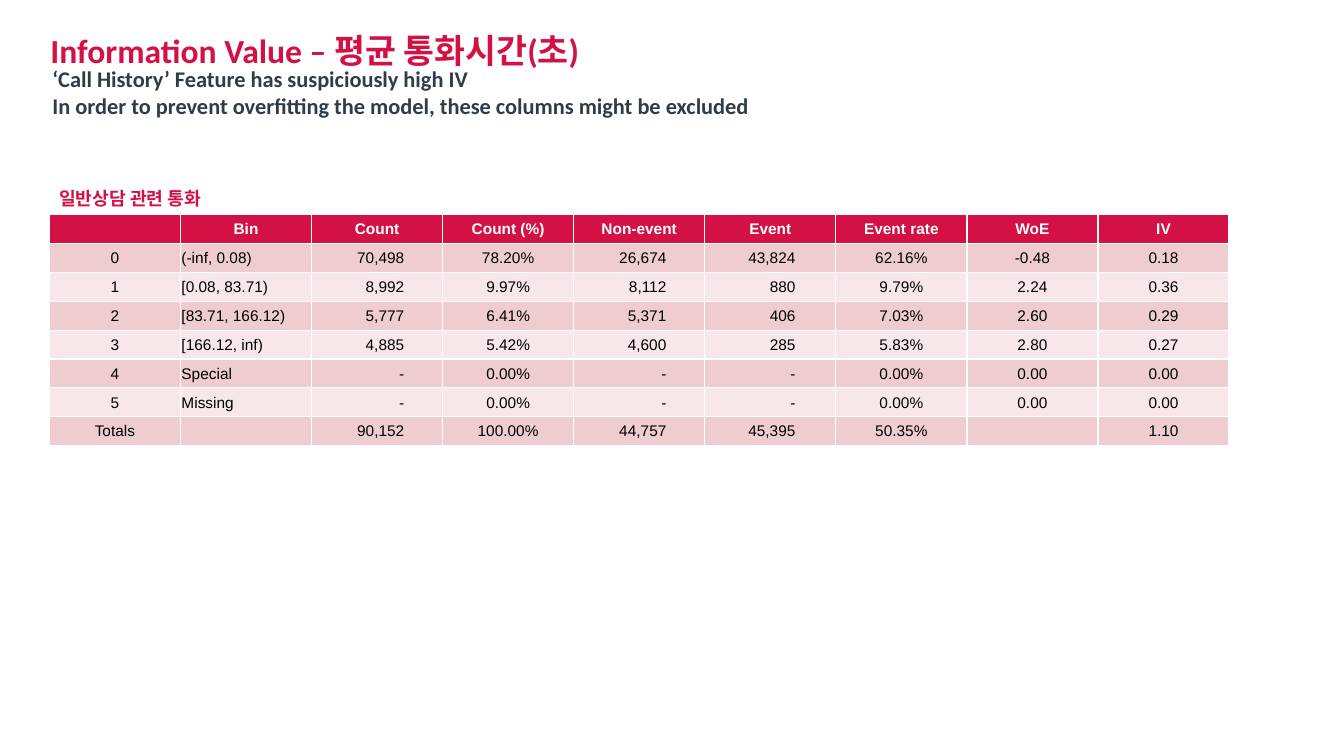
from dataclasses import dataclass

from lxml import etree
from pptx import Presentation
from pptx.dml.color import RGBColor
from pptx.enum.text import MSO_ANCHOR, MSO_AUTO_SIZE, PP_ALIGN
from pptx.oxml.ns import qn
from pptx.util import Emu, Pt

LEFT, CENTER, RIGHT = PP_ALIGN.LEFT, PP_ALIGN.CENTER, PP_ALIGN.RIGHT
TOP, MIDDLE = MSO_ANCHOR.TOP, MSO_ANCHOR.MIDDLE
NO_FIT = MSO_AUTO_SIZE.NONE

CRIMSON = RGBColor(0xD3, 0x11, 0x45)
SLATE = RGBColor(0x30, 0x3D, 0x48)
WHITE = RGBColor(0xFF, 0xFF, 0xFF)
BLACK = RGBColor(0x00, 0x00, 0x00)
BANDS = (RGBColor(0xEF, 0xCC, 0xCF), RGBColor(0xF7, 0xE7, 0xE9))

TITLE_ONLY = 5
CELL_PT = 11


def px(n: int) -> Emu:
    """100 px to the inch."""
    return Emu(n * 9144)


@dataclass(frozen=True)
class Column:
    heading: str
    align: PP_ALIGN = CENTER
    right_margin: int = 1


@dataclass(frozen=True)
class TextStyle:
    font: str
    size: int
    color: RGBColor
    bold: bool = True


TITLE_STYLE = TextStyle("Calibri", 24, CRIMSON)
SUBTITLE_STYLE = TextStyle("Calibri", 16, SLATE)
CAPTION_STYLE = TextStyle("Arial", 13, CRIMSON)
HEADING_STYLE = TextStyle("Arial", CELL_PT, WHITE)
VALUE_STYLE = TextStyle("Arial", CELL_PT, BLACK, bold=False)

COLUMNS = (
    Column(""),
    Column("Bin", LEFT),
    Column("Count", RIGHT, 38),
    Column("Count (%)"),
    Column("Non-event", RIGHT, 38),
    Column("Event", RIGHT, 40),
    Column("Event rate"),
    Column("WoE"),
    Column("IV"),
)
ROWS = (
    ("0", "(-inf, 0.08)", "70,498", "78.20%", "26,674", "43,824", "62.16%", "-0.48", "0.18"),
    ("1", "[0.08, 83.71)", "8,992", "9.97%", "8,112", "880", "9.79%", "2.24", "0.36"),
    ("2", "[83.71, 166.12)", "5,777", "6.41%", "5,371", "406", "7.03%", "2.60", "0.29"),
    ("3", "[166.12, inf)", "4,885", "5.42%", "4,600", "285", "5.83%", "2.80", "0.27"),
    ("4", "Special", "-", "0.00%", "-", "-", "0.00%", "0.00", "0.00"),
    ("5", "Missing", "-", "0.00%", "-", "-", "0.00%", "0.00", "0.00"),
    ("Totals", "", "90,152", "100.00%", "44,757", "45,395", "50.35%", "", "1.10"),
)


def style_text(tf, style: TextStyle, align: PP_ALIGN = LEFT) -> None:
    for p in tf.paragraphs:
        p.alignment = align
        for r in p.runs:
            r.font.name = style.font
            r.font.size = Pt(style.size)
            r.font.bold = style.bold
            r.font.color.rgb = style.color


def clear_margins(tf) -> None:
    tf.margin_left = tf.margin_top = tf.margin_right = tf.margin_bottom = 0


def fill_cell(cell, text: str, style: TextStyle, color: RGBColor,
              align: PP_ALIGN, right_margin: int = 1) -> None:
    cell.fill.solid()
    cell.fill.fore_color.rgb = color
    cell.vertical_anchor = MIDDLE
    cell.margin_left = cell.margin_top = px(1)
    cell.margin_right = px(right_margin)
    cell.margin_bottom = 0
    tf = cell.text_frame
    tf.text = text
    style_text(tf, style, align)
    # An empty cell keeps its row low only with a small end mark
    if not text:
        etree.SubElement(tf.paragraphs[0]._p, qn("a:endParaRPr"), sz=str(CELL_PT * 100))


def add_text(slide, box: tuple[int, int, int, int], text: str, style: TextStyle):
    tf = slide.shapes.add_textbox(*map(px, box)).text_frame
    tf.word_wrap = True
    tf.text = text
    style_text(tf, style)
    return tf


def add_title(slide, text: str) -> None:
    sp = slide.shapes.title
    sp.left, sp.top, sp.width, sp.height = map(px, (50, 20, 1192, 45))
    tf = sp.text_frame
    tf.text = text
    tf.auto_size = NO_FIT
    tf.vertical_anchor = TOP
    clear_margins(tf)
    p = tf.paragraphs[0]
    p.line_spacing = 1.25
    p.space_before = Pt(12)
    style_text(tf, TITLE_STYLE)


def add_bin_table(slide) -> None:
    frame = slide.shapes.add_table(len(ROWS) + 1, len(COLUMNS),
                                   *map(px, (49, 213, 1170, 229)))
    table = frame.table
    for c, column in enumerate(COLUMNS):
        fill_cell(table.cell(0, c), column.heading, HEADING_STYLE, CRIMSON, CENTER)
        for r, row in enumerate(ROWS):
            fill_cell(table.cell(r + 1, c), row[c], VALUE_STYLE, BANDS[r % 2],
                      column.align, column.right_margin)


def main() -> None:
    prs = Presentation()
    prs.slide_width, prs.slide_height = px(1333), px(750)
    slide = prs.slides.add_slide(prs.slide_layouts[TITLE_ONLY])

    # Title and subtitle
    add_title(slide, "Information Value – 평균 통화시간(초)")
    subtitle = add_text(
        slide, (52, 65, 1175, 76),
        "‘Call History’ Feature has suspiciously high IV\n"
        "In order to prevent overfitting the model, these columns might be excluded",
        SUBTITLE_STYLE)
    clear_margins(subtitle)

    # Table with its caption
    add_bin_table(slide)
    add_text(slide, (49, 181, 173, 32), "일반상담 관련 통화", CAPTION_STYLE)

    prs.save("out.pptx")


if __name__ == "__main__":
    main()
